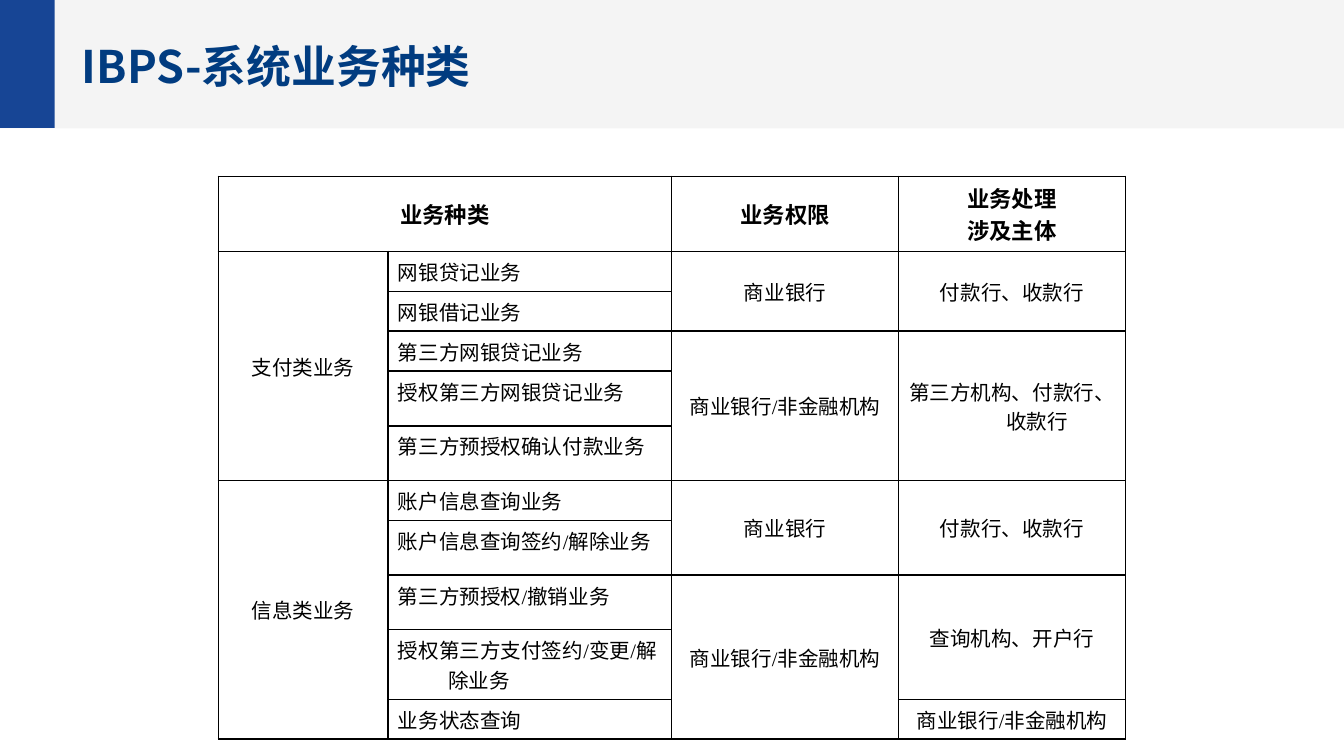
from lxml import etree
from pptx import Presentation
from pptx import util as u
from pptx.dml.color import RGBColor
from pptx.enum import shapes, text
from pptx.oxml import ns

Pt = u.Pt
SANS, SERIF = "Noto Sans CJK SC", "Times New Roman"
CENTER, LEFT = text.PP_ALIGN.CENTER, text.PP_ALIGN.LEFT
MIDDLE, TOP = text.MSO_ANCHOR.MIDDLE, text.MSO_ANCHOR.TOP

COLUMN_WIDTHS = [90.8, 152, 121.6, 121.6]
SHORT, TALL = 18, 29.3
ROW_HEIGHTS = [34, SHORT, SHORT, SHORT, TALL, TALL, SHORT, TALL, TALL, 30, SHORT]

# Each entry: first row, row span, text
CATEGORIES = [(1, 5, "支付类业务"), (6, 5, "信息类业务")]
SERVICES = [
    "网银贷记业务", "网银借记业务", "第三方网银贷记业务", "授权第三方网银贷记业务",
    "第三方预授权确认付款业务", "账户信息查询业务", "账户信息查询签约/解除业务",
    "第三方预授权/撤销业务", "授权第三方支付签约/变更/解除业务", "业务状态查询",
]
PERMISSIONS = [
    (1, 2, "商业银行"), (3, 3, "商业银行/非金融机构"),
    (6, 2, "商业银行"), (8, 3, "商业银行/非金融机构"),
]
PARTIES = [
    (1, 2, "付款行、收款行"), (3, 3, "第三方机构、付款行、收款行"),
    (6, 2, "付款行、收款行"), (8, 2, "查询机构、开户行"),
    (10, 1, "商业银行/非金融机构"),
]


def color(value):
    return RGBColor.from_string(value)


def write(frame, content, size=11, font=SERIF, ink="000000", bold=False,
          align=LEFT, hanging=0):
    """Fill a text frame, one paragraph per line of content."""
    for number, line in enumerate(content.split("\n")):
        para = frame.add_paragraph() if number else frame.paragraphs[0]
        para.alignment = align
        if hanging:
            properties = para._p.get_or_add_pPr()
            properties.set("marL", str(Pt(hanging)))
            properties.set("indent", str(-Pt(hanging)))
        span = para.add_run()
        span.text = line
        span.font.size, span.font.name, span.font.bold = Pt(size), font, bold
        span.font.color.rgb = color(ink)
        east_asian = etree.SubElement(span._r.get_or_add_rPr(), ns.qn("a:ea"))
        east_asian.set("typeface", SANS)


def add_block(page, left, top, width, height, fill, opacity=None):
    block = page.shapes.add_shape(shapes.MSO_SHAPE.RECTANGLE,
                                  Pt(left), Pt(top), Pt(width), Pt(height))
    block.shadow.inherit = False
    block.line.fill.background()
    block.fill.solid()
    block.fill.fore_color.rgb = color(fill)
    if opacity is not None:
        tone = block._element.spPr.find(".//" + ns.qn("a:srgbClr"))
        etree.SubElement(tone, ns.qn("a:alpha")).set("val", str(opacity * 1000))


def add_title(page, content):
    title = page.shapes.title
    title.left, title.top, title.width, title.height = Pt(36.7), Pt(15), Pt(462), Pt(40)
    title.text_frame.vertical_anchor = MIDDLE
    write(title.text_frame, content, size=24, font=SANS, ink="013C80", bold=True)
    page.shapes._spTree.append(title._element)  # in front of the band


def style_cell(cell):
    """Clear the fill, set the margins and draw black borders."""
    cell.margin_left = cell.margin_right = Pt(5.4)
    cell.margin_top = cell.margin_bottom = Pt(2.7)
    properties = cell._tc.get_or_add_tcPr()
    for side in ("a:lnL", "a:lnR", "a:lnT", "a:lnB"):
        border = etree.SubElement(properties, ns.qn(side), w=str(Pt(1)))
        fill = etree.SubElement(border, ns.qn("a:solidFill"))
        etree.SubElement(fill, ns.qn("a:srgbClr"), val="000000")
    cell.fill.background()


def fill_cell(table, row, column, content, rows=1, columns=1, anchor=MIDDLE,
              align=CENTER, **look):
    cell = table.cell(row, column)
    if rows * columns > 1:
        cell.merge(table.cell(row + rows - 1, column + columns - 1))
    cell.vertical_anchor = anchor
    write(cell.text_frame, content, align=align, hanging=27, **look)


def add_services_table(page):
    table = page.shapes.add_table(
        len(ROW_HEIGHTS), len(COLUMN_WIDTHS), Pt(117), Pt(94.5),
        Pt(sum(COLUMN_WIDTHS)), Pt(sum(ROW_HEIGHTS))).table
    table.first_row = table.horz_banding = False
    for column, width in zip(table.columns, COLUMN_WIDTHS):
        column.width = Pt(width)
    for row, height in zip(table.rows, ROW_HEIGHTS):
        row.height = Pt(height)
        for cell in row.cells:
            style_cell(cell)

    # Header
    header = dict(size=12, font=SANS, bold=True)
    fill_cell(table, 0, 0, "业务种类", columns=2, **header)
    fill_cell(table, 0, 2, "业务权限", **header)
    fill_cell(table, 0, 3, "业务处理\n涉及主体", anchor=TOP, **header)

    # Body
    for row, service in enumerate(SERVICES, 1):
        fill_cell(table, row, 1, service, anchor=TOP, align=LEFT)
    for column, groups in ((0, CATEGORIES), (2, PERMISSIONS), (3, PARTIES)):
        for row, rows, content in groups:
            fill_cell(table, row, column, content, rows=rows)


def main():
    deck = Presentation()
    deck.slide_width, deck.slide_height = Pt(720), Pt(405)
    page = deck.slides.add_slide(deck.slide_layouts[5])
    # Header band with accent block
    add_block(page, -0.7, -0.7, 721.4, 69.5, "D5D5D5", opacity=24)
    add_block(page, 0, -0.7, 29.3, 69.2, "174595")
    add_title(page, "IBPS-系统业务种类")
    add_services_table(page)
    deck.save("out.pptx")


if __name__ == "__main__":
    main()
